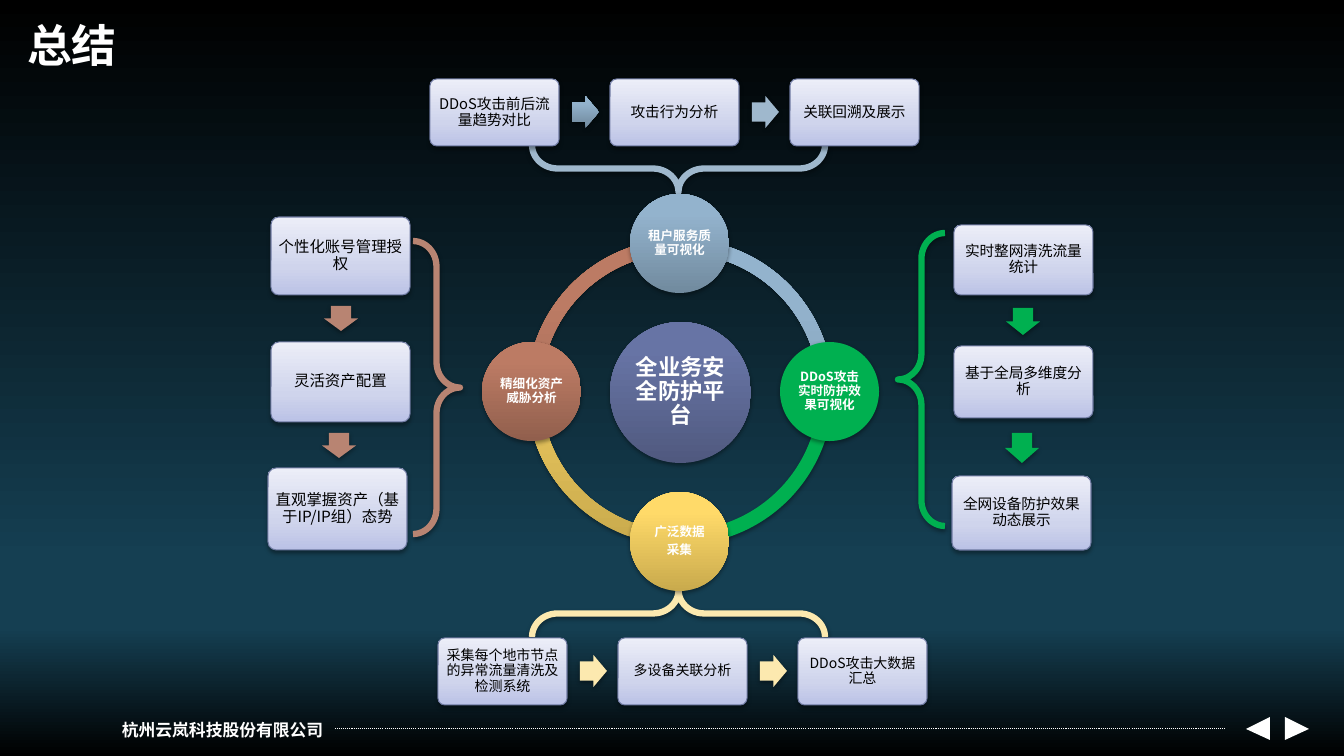
import math
from dataclasses import dataclass
from typing import Union

from lxml import etree
from pptx import Presentation
from pptx.dml.color import RGBColor
from pptx.enum import dml, shapes, text
from pptx.oxml.ns import qn
from pptx.util import Pt

SLIDE_W, SLIDE_H = 1344, 756
PX = 12192000 / SLIDE_W
SANS = "Noto Sans CJK SC"
SHAPE = shapes.MSO_SHAPE

# Colours
WHITE = RGBColor(0xFF, 0xFF, 0xFF)
BLACK = RGBColor(0x00, 0x00, 0x00)
NAVY = RGBColor(0x15, 0x3F, 0x52)
GREEN = RGBColor(0x00, 0xB0, 0x50)
CLAY = RGBColor(0xB8, 0x84, 0x72)
STEEL = RGBColor(0x9F, 0xB8, 0xCD)
CREAM = RGBColor(0xFC, 0xE9, 0xAF)
CARD_EDGE = RGBColor(0x6E, 0x79, 0xA1)

# Gradients: (position in percent, colour)
Stops = tuple[tuple[int, RGBColor], ...]
Paint = Union[RGBColor, Stops]
BACKDROP: Stops = ((0, BLACK), (74, NAVY), (83, NAVY), (100, BLACK))
CARD_FILL: Stops = ((0, RGBColor(0xBB, 0xC2, 0xE6)), (35, RGBColor(0xCF, 0xD4, 0xEC)),
                    (100, RGBColor(0xEC, 0xEE, 0xF8)))
BLUE_GLOSS: Stops = ((0, RGBColor(0x71, 0x8A, 0x9E)), (80, RGBColor(0x93, 0xB3, 0xCD)),
                     (100, RGBColor(0x93, 0xB4, 0xCF)))
CLAY_GLOSS: Stops = ((0, RGBColor(0x91, 0x5F, 0x4D)), (80, RGBColor(0xBC, 0x7B, 0x64)),
                     (100, RGBColor(0xBF, 0x7B, 0x63)))
GOLD_GLOSS: Stops = ((0, RGBColor(0xC9, 0xAA, 0x4D)), (80, RGBColor(0xFF, 0xDA, 0x69)),
                     (100, RGBColor(0xFF, 0xDA, 0x6B)))
INDIGO_GLOSS: Stops = ((0, RGBColor(0x50, 0x59, 0x7F)), (80, RGBColor(0x67, 0x74, 0xA5)),
                       (100, RGBColor(0x67, 0x74, 0xA7)))


@dataclass(frozen=True)
class Box:
    x: int
    y: int
    w: int
    h: int


@dataclass(frozen=True)
class Hub:
    label: str
    paint: Paint


@dataclass(frozen=True)
class Card:
    label: str
    box: Box
    size: float


@dataclass(frozen=True)
class Arrow:
    kind: shapes.MSO_SHAPE
    box: Box
    paint: Paint


@dataclass(frozen=True)
class Brace:
    box: Box
    rotation: int
    color: RGBColor


@dataclass(frozen=True)
class Row:
    x: int
    y: int
    size: float
    labels: tuple[str, ...]
    arrows: tuple[Paint, ...]


def emu(px: int) -> int:
    return round(px * PX)


def frame(box: Box) -> tuple[int, ...]:
    return tuple(emu(v) for v in (box.x, box.y, box.w, box.h))


def set_paint(fill, element, paint: Paint, angle: int = 90) -> None:
    if isinstance(paint, RGBColor):
        fill.solid()
        fill.fore_color.rgb = paint
        return
    fill.gradient()
    fill.gradient_angle = angle
    stops = element.find(f".//{qn('a:gsLst')}")
    for gs in list(stops):
        stops.remove(gs)
    for position, color in paint:
        gs = etree.SubElement(stops, qn("a:gs"), pos=str(position * 1000))
        etree.SubElement(gs, qn("a:srgbClr"), val=str(color))


def add_shadow(sp) -> None:
    sp.shadow.inherit = False
    effects = sp.element.spPr.find(qn("a:effectLst"))
    outer = etree.SubElement(effects, qn("a:outerShdw"), blurRad="40000", dist="21000",
                             dir="5400000", rotWithShape="0")
    color = etree.SubElement(outer, qn("a:srgbClr"), val=str(BLACK))
    etree.SubElement(color, qn("a:alpha"), val="36000")


def add_run(p, label: str, size: float, color: RGBColor, bold: bool, font: str = SANS) -> None:
    r = p.add_run()
    r.text = label
    r.font.size, r.font.bold, r.font.name = Pt(size), bold, font
    r.font.color.rgb = color
    etree.SubElement(r.font._element, qn("a:ea"), typeface=SANS)


def write_centred(sp, label: str, size: float, color: RGBColor, bold: bool, inset: int) -> None:
    tf = sp.text_frame
    tf.word_wrap = True
    tf.vertical_anchor = text.MSO_ANCHOR.MIDDLE
    tf.margin_left = tf.margin_right = tf.margin_top = tf.margin_bottom = emu(inset)
    for i, line in enumerate(label.split("\n")):
        p = tf.add_paragraph() if i else tf.paragraphs[0]
        p.alignment = text.PP_ALIGN.CENTER
        p.line_spacing, p.space_after = 0.9, Pt(round(size * 0.35, 1))
        add_run(p, line, size, color, bold)


def add_filled(slide, kind: shapes.MSO_SHAPE, box: Box, paint: Paint, adjust: tuple = ()):
    sp = slide.shapes.add_shape(kind, *frame(box))
    for i, value in enumerate(adjust):
        sp.adjustments[i] = value
    set_paint(sp.fill, sp.element, paint)
    sp.line.fill.background()
    add_shadow(sp)
    return sp


def add_circle(slide, cx: int, cy: int, d: int, hub: Hub, size: float, inset: int) -> None:
    box = Box(round(cx - d / 2), round(cy - d / 2), d, d)
    sp = add_filled(slide, SHAPE.OVAL, box, hub.paint)
    write_centred(sp, hub.label, size, WHITE, True, inset)


def add_card(slide, card: Card) -> None:
    sp = add_filled(slide, SHAPE.ROUNDED_RECTANGLE, card.box, CARD_FILL, (0.1,))
    sp.line.color.rgb, sp.line.width = CARD_EDGE, Pt(0.75)
    write_centred(sp, card.label, card.size, BLACK, False, 4)


def add_arrow(slide, arrow: Arrow) -> None:
    add_filled(slide, arrow.kind, arrow.box, arrow.paint, (0.6, 0.5))


def add_brace(slide, brace: Brace) -> None:
    sp = slide.shapes.add_shape(SHAPE.LEFT_BRACE, *frame(brace.box))
    sp.adjustments[0], sp.adjustments[1] = 0.546, 0.5
    sp.rotation = brace.rotation
    sp.fill.background()
    sp.line.color.rgb, sp.line.width = brace.color, Pt(4.5)
    add_shadow(sp)


def add_row(slide, row: Row) -> None:
    for i, label in enumerate(row.labels):
        add_card(slide, Card(label, Box(row.x + 180 * i, row.y, 129, 67), row.size))
    for i, paint in enumerate(row.arrows):
        box = Box(row.x + 142 + 180 * i, row.y + 17, 27, 32)
        add_arrow(slide, Arrow(SHAPE.RIGHT_ARROW, box, paint))


def add_footer(slide) -> None:
    tb = slide.shapes.add_textbox(*frame(Box(112, 715, 224, 30)))
    tb.text_frame.word_wrap = False
    add_run(tb.text_frame.paragraphs[0], "杭州云岚科技股份有限公司", 12, WHITE, True, "Arial")
    rule = slide.shapes.add_connector(shapes.MSO_CONNECTOR.STRAIGHT,
                                      emu(335), emu(729), emu(1225), emu(729))
    rule.line.color.rgb, rule.line.width = WHITE, Pt(0.75)
    rule.line.dash_style = dml.MSO_LINE.ROUND_DOT
    etree.SubElement(rule.element.spPr, qn("a:effectLst"))
    builder = slide.shapes.build_freeform(1285, 717, scale=PX)
    builder.add_line_segments([(1309, 729), (1285, 740)])
    builder.move_to(1270, 717)
    builder.add_line_segments([(1270, 740), (1246, 729)])
    sp = builder.convert_to_shape()
    set_paint(sp.fill, sp.element, WHITE)
    sp.line.fill.background()
    sp.shadow.inherit = False


# Clockwise from the right
HUBS = (Hub("DDoS攻击实时防护效果可视化", GREEN), Hub("广泛数据\n采集", GOLD_GLOSS),
        Hub("精细化资产威胁分析", CLAY_GLOSS), Hub("租户服务质量可视化", BLUE_GLOSS))
BRACES = (Brace(Box(655, 467, 47, 293), 90, CREAM), Brace(Box(655, 22, 47, 293), 270, STEEL),
          Brace(Box(898, 233, 47, 293), 0, GREEN), Brace(Box(413, 241, 47, 293), 180, CLAY))
ROWS = (Row(430, 79, 10.5, ("DDoS攻击前后流量趋势对比", "攻击行为分析", "关联回溯及展示"),
            (BLUE_GLOSS, STEEL)),
        Row(438, 638, 10, ("采集每个地市节点的异常流量清洗及检测系统", "多设备关联分析",
                           "DDoS攻击大数据汇总"), (CREAM, CREAM)))
SIDE_CARDS = (Card("实时整网清洗流量统计", Box(954, 225, 139, 70), 10.5),
              Card("基于全局多维度分析", Box(954, 346, 139, 72), 10.5),
              Card("全网设备防护效果动态展示", Box(952, 476, 139, 74), 10.5),
              Card("个性化账号管理授权", Box(271, 217, 139, 78), 11),
              Card("灵活资产配置", Box(271, 342, 139, 80), 11),
              Card("直观掌握资产（基于IP/IP组）态势", Box(268, 468, 139, 82), 11))
SIDE_ARROWS = (Arrow(SHAPE.DOWN_ARROW, Box(1006, 308, 34, 27), GREEN),
               Arrow(SHAPE.DOWN_ARROW, Box(1005, 433, 34, 30), GREEN),
               Arrow(SHAPE.DOWN_ARROW, Box(324, 306, 34, 25), CLAY),
               Arrow(SHAPE.DOWN_ARROW, Box(322, 433, 34, 25), CLAY))
CENTRE_X, CENTRE_Y, ORBIT, RING = 680, 392, 149, 306


def main() -> None:
    prs = Presentation()
    prs.slide_width, prs.slide_height = emu(SLIDE_W), emu(SLIDE_H)
    slide = prs.slides.add_slide(prs.slide_layouts[5])
    set_paint(slide.background.fill, slide.element, BACKDROP, 270)
    add_footer(slide)

    # Title
    title = slide.shapes.title
    title.left, title.top, title.width, title.height = frame(Box(17, 13, 403, 72))
    title.text_frame.vertical_anchor = text.MSO_ANCHOR.TOP
    p = title.text_frame.paragraphs[0]
    p.alignment = text.PP_ALIGN.LEFT
    add_run(p, "总结", 32, WHITE, True)

    # Braces, then the ring of quarter arcs and its hubs
    for brace in BRACES:
        add_brace(slide, brace)
    ring = Box(CENTRE_X - RING // 2, CENTRE_Y - RING // 2, RING, RING)
    for i, hub in enumerate(HUBS):
        add_filled(slide, SHAPE.BLOCK_ARC, ring, hub.paint, (54 * i, 54 * (i + 1) % 216, 0.046))
    add_circle(slide, CENTRE_X, CENTRE_Y, 141, Hub("全业务安全防护平台", INDIGO_GLOSS), 16, 2)
    for i, hub in enumerate(HUBS):
        angle = math.radians(90 * i)
        add_circle(slide, round(CENTRE_X + ORBIT * math.cos(angle)),
                   round(CENTRE_Y + ORBIT * math.sin(angle)), 99, hub, 9, 1)

    # Cards and arrows around the ring
    for row in ROWS:
        add_row(slide, row)
    for card in SIDE_CARDS:
        add_card(slide, card)
    for arrow in SIDE_ARROWS:
        add_arrow(slide, arrow)
    prs.save("out.pptx")


if __name__ == "__main__":
    main()
